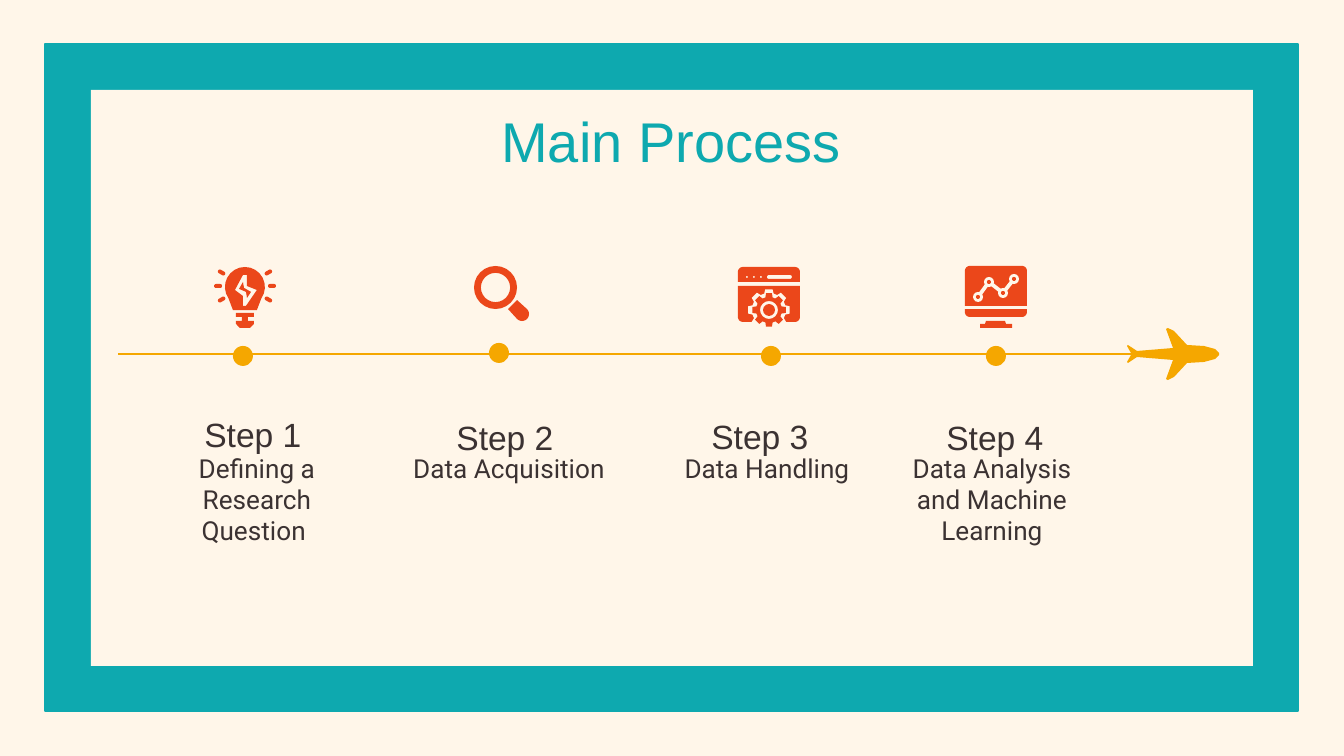
"""Build the "Main Process" timeline slide."""
from math import cos, radians, sin

from lxml.etree import SubElement
from pptx import Presentation
from pptx.dml.color import RGBColor
from pptx.enum.shapes import MSO_CONNECTOR as Connector, MSO_SHAPE as Shape
from pptx.enum.text import MSO_ANCHOR as Anchor, PP_ALIGN as Align
from pptx.oxml.ns import qn
from pptx.util import Pt

SCALE = 914400 / 134.4
TEAL, CREAM, GOLD, ORANGE, INK = "0EA9AF", "FFF6E9", "F5A700", "EB471A", "3B3232"
STEPS = [
    ("Step 1", "Defining a Research Question ", (114, 395), 147, (243, 356)),
    ("Step 2", "Data Acquisition", (366, 398), 399, (499, 353)),
    ("Step 3", "Data Handling", (621, 397), 657, (771, 356)),
    ("Step 4", "Data Analysis and Machine Learning", (856, 398), 882, (996, 356)),
]


def px(value):
    """Turn px into EMU."""
    return round(value * SCALE)


def rgb(value):
    """Turn a hex string into a colour."""
    return RGBColor.from_string(value)


def paint(shape, colour, line=None):
    """Give a shape a flat fill and an optional line."""
    shape.shadow.inherit = False
    shape.fill.solid()
    shape.fill.fore_color.rgb = rgb(colour)
    if line:
        shape.line.color.rgb = rgb(line)
        shape.line.width = Pt(0.75)
    else:
        shape.line.fill.background()
    return shape


def preset(page, kind, left, top, width, height, colour, line=None):
    """Add a flat preset shape."""
    shape = page.shapes.add_shape(kind, px(left), px(top), px(width), px(height))
    return paint(shape, colour, line)


def disc(page, x, y, radius, colour):
    """Add a circle around a centre."""
    return preset(page, Shape.OVAL, x - radius, y - radius, 2 * radius, 2 * radius, colour)


def outline(page, colour, *contours):
    """Add one freeform from closed contours; inner ones become holes."""
    builder = None
    for contour in contours:
        start, *rest = [(px(x), px(y)) for x, y in contour]
        if builder is None:
            builder = page.shapes.build_freeform(*start)
        else:
            builder.move_to(*start)
        builder.add_line_segments(rest, close=True)
    return paint(builder.convert_to_shape(), colour)


def connect(page, start, end, colour, width):
    """Add a straight line without a shadow."""
    line = page.shapes.add_connector(Connector.STRAIGHT, *map(px, start + end))
    line.line.color.rgb = rgb(colour)
    line.line.width = Pt(width)
    SubElement(line.element.spPr, qn("a:effectLst"))


def write(box, text, size, font, colour, spacing=1.0, after=0):
    """Write one centred paragraph into a text box or placeholder."""
    frame = box.text_frame
    frame.word_wrap = True
    frame.vertical_anchor = Anchor.TOP
    frame.margin_left = frame.margin_right = px(13)
    frame.margin_top = frame.margin_bottom = px(13)
    para = frame.paragraphs[0]
    para.alignment = Align.CENTER
    para.line_spacing = spacing
    para.space_before, para.space_after = Pt(0), Pt(after)
    span = para.add_run()
    span.text = text
    span.font.size, span.font.name = Pt(size), font
    span.font.color.rgb = rgb(colour)


def label(page, left, top, width, height, text, **style):
    """Add a text box."""
    box = page.shapes.add_textbox(px(left), px(top), px(width), px(height))
    write(box, text, colour=INK, after=16, **style)


def arc(x, y, radius, first=0, last=360, count=16):
    """List points along an arc, angles in degrees clockwise from the right."""
    angles = [radians(first + (last - first) * i / count) for i in range(count + 1)]
    return [(x + radius * cos(a), y + radius * sin(a)) for a in angles]


def panel(left, top, right, bottom, upper=0, lower=0):
    """List the points of a box with rounded upper or lower corners."""
    return (arc(left + upper, top + upper, upper, 180, 270)
            + arc(right - upper, top + upper, upper, 270, 360)
            + arc(right - lower, bottom - lower, lower, 0, 90)
            + arc(left + lower, bottom - lower, lower, 90, 180))


def gear(x, y, root, tip):
    """List the points of a gear with eight teeth."""
    teeth = [(-16, root), (-10, tip), (10, tip), (16, root)]
    return [(x + r * cos(radians(45 * i + a)), y + r * sin(radians(45 * i + a)))
            for i in range(8) for a, r in teeth]


def draw_bulb(page):
    """Draw the light bulb with rays and a bolt."""
    for angle in (-30, 0, 30, 150, 180, 210):
        x, y = 245 + 27 * cos(radians(angle)), 286 + 27 * sin(radians(angle))
        ray = preset(page, Shape.ROUNDED_RECTANGLE, x - 4, y - 2, 8, 4, ORANGE)
        ray.adjustments[0] = 0.5
        ray.rotation = angle
    bolt = [(243, 275), (247, 275), (247, 286), (257, 290),
            (246, 306), (243, 306), (243, 296), (235, 290)]
    outline(page, ORANGE, arc(245, 287, 20, 145, 395) + [(257, 310), (233, 310)], bolt)
    outline(page, ORANGE, [(243, 282), (239, 289), (246, 292),
                           (247, 298), (251, 292), (244, 288)])
    right = [(254, 313), (254, 317), (248, 317), (248, 321),
             (254, 321), (254, 324), (250, 328)]
    outline(page, ORANGE, right + [(490 - x, y) for x, y in reversed(right)])


def draw_magnifier(page):
    """Draw the magnifying glass."""
    outline(page, ORANGE, [(517, 300), (508, 309)] + arc(522, 314, 7, 135, -45))
    ring = preset(page, Shape.DONUT, 474, 266, 43, 43, ORANGE)
    ring.adjustments[0] = 0.16


def draw_browser(page):
    """Draw the window with a gear."""
    dots = [arc(x, 277, 1) for x in (747, 754, 761)]
    slot = arc(769, 277, 2, 90, 270) + arc(790, 277, 2, 270, 450)
    outline(page, ORANGE, panel(738, 267, 800, 282, upper=5), slot, *dots)
    outline(page, ORANGE, panel(738, 286, 800, 322, lower=5))
    outline(page, CREAM, gear(769, 310, 17, 21))
    outline(page, ORANGE, gear(769, 310, 13, 17), arc(769, 310, 9))
    disc(page, 769, 310, 6, ORANGE)


def draw_monitor(page):
    """Draw the screen with a trend line."""
    outline(page, ORANGE, panel(965, 266, 1027, 306, upper=5))
    outline(page, ORANGE, panel(965, 309, 1027, 317, lower=5))
    outline(page, ORANGE, [(986, 321), (1005, 321), (1006, 324), (1012, 324),
                           (1012, 328), (980, 328), (980, 324), (985, 324)])
    trend = [(978, 297), (989, 282), (1003, 293), (1014, 279)]
    for start, end in zip(trend, trend[1:]):
        connect(page, start, end, CREAM, 2)
    for x, y in trend:
        disc(page, x, y, 5, CREAM)
        disc(page, x, y, 2, ORANGE)


def draw_plane(page):
    """Draw the plane as one half and its mirror."""
    half = [(1219, 353), (1215, 349), (1204, 346), (1187, 345), (1174, 331), (1168, 328),
            (1166, 329), (1173, 348), (1137, 351), (1128, 345), (1127, 346), (1131, 353)]
    outline(page, GOLD, half + [(x, 708 - y) for x, y in reversed(half)])


def main():
    """Build and save the deck."""
    deck = Presentation()
    deck.slide_width, deck.slide_height = px(1344), px(756)
    page = deck.slides.add_slide(deck.slide_layouts[5])
    page.background.fill.solid()
    page.background.fill.fore_color.rgb = rgb(CREAM)
    preset(page, Shape.RECTANGLE, 45, 44, 1253, 667, TEAL, TEAL)
    preset(page, Shape.RECTANGLE, 91, 90, 1162, 576, CREAM)
    title = page.shapes.title
    page.shapes.element.append(title.element)
    title.left, title.top, title.width, title.height = map(px, (161, 94, 1020, 75))
    write(title, "Main Process", 30, "Arial", TEAL)
    draw_plane(page)
    connect(page, (1219, 354), (118, 354), GOLD, 0.75)
    for name, detail, (left, top), detail_left, (x, y) in STEPS:
        label(page, left, top, 278, 65, name, size=18, font="Arial", spacing=1.15)
        label(page, detail_left, 439, 220, 136, detail, size=14, font="Roboto")
        disc(page, x, y, 10, GOLD)
    for draw in (draw_bulb, draw_magnifier, draw_browser, draw_monitor):
        draw(page)
    deck.save("out.pptx")


if __name__ == "__main__":
    main()
